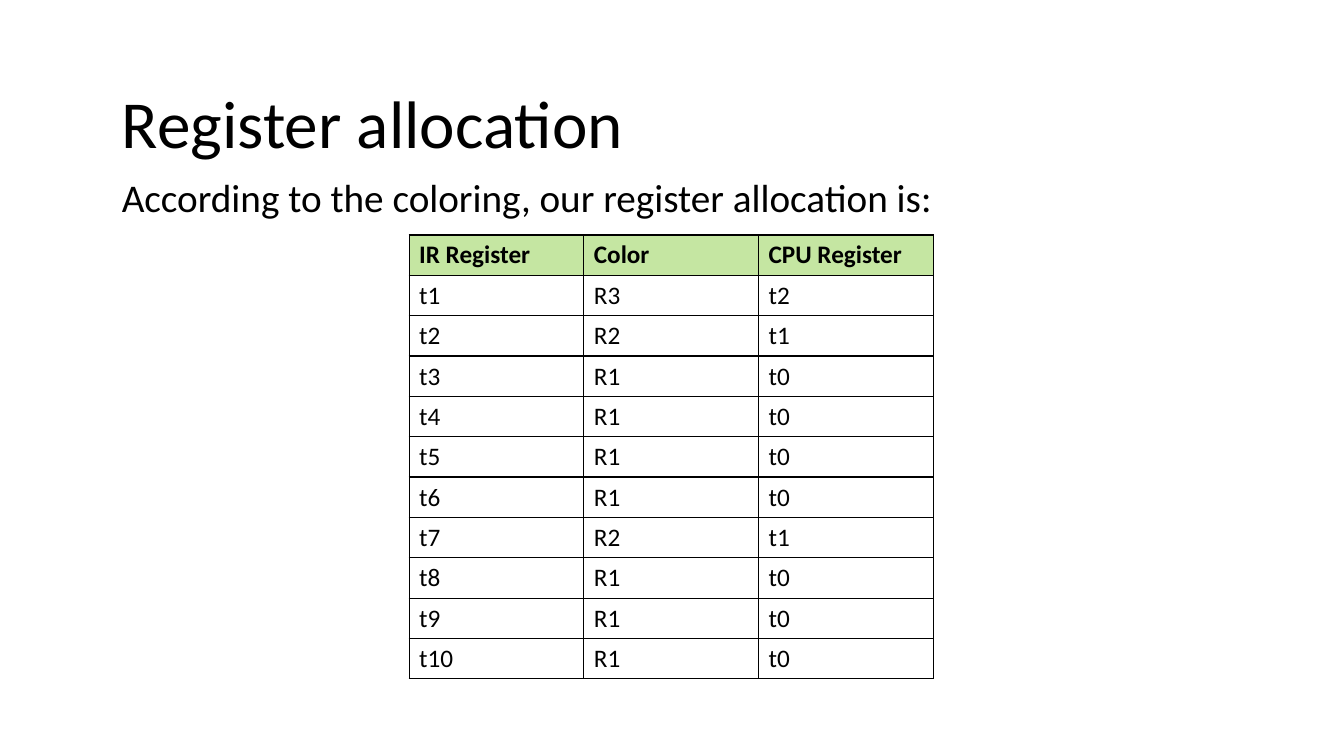
import dataclasses

import lxml.etree
import pptx
import pptx.dml.color
import pptx.enum.text
import pptx.oxml.ns
import pptx.util
from pptx.util import Cm


@dataclasses.dataclass(frozen=True)
class Theme:
    font: str = "Calibri"
    ink: str = "000000"
    paper: str = "FFFFFF"
    header: str = "92D050"
    header_opacity: int = 53
    title_size: int = 48
    lead_size: int = 28
    table_size: int = 18
    border_width: int = 1


theme = Theme()


def write(text_frame, text, size, bold=False):
    paragraph = text_frame.paragraphs[0]
    paragraph.alignment = pptx.enum.text.PP_ALIGN.LEFT
    run = paragraph.add_run()
    run.text = text
    run.font.name = theme.font
    run.font.size = pptx.util.Pt(size)
    run.font.bold = bold
    run.font.color.rgb = pptx.dml.color.RGBColor.from_string(theme.ink)


def format_cell(cell, is_header):
    """Draw the four borders, then fill the cell."""
    properties = cell._tc.get_or_add_tcPr()
    qn = pptx.oxml.ns.qn
    for side in ("a:lnL", "a:lnR", "a:lnT", "a:lnB"):
        width = str(pptx.util.Pt(theme.border_width))
        border = lxml.etree.SubElement(properties, qn(side), w=width)
        line_fill = lxml.etree.SubElement(border, qn("a:solidFill"))
        lxml.etree.SubElement(line_fill, qn("a:srgbClr"), val=theme.ink)
    cell.fill.solid()
    color = theme.header if is_header else theme.paper
    cell.fill.fore_color.rgb = pptx.dml.color.RGBColor.from_string(color)
    if is_header:
        fill_color = properties.find(qn("a:solidFill")).find(qn("a:srgbClr"))
        opacity = str(theme.header_opacity * 1000)
        lxml.etree.SubElement(fill_color, qn("a:alpha"), val=opacity)


presentation = pptx.Presentation()
presentation.slide_width = Cm(33.87)
presentation.slide_height = Cm(19.05)
slide = presentation.slides.add_slide(presentation.slide_layouts[5])

# Title and lead sentence
title = slide.shapes.title
title.left, title.top, title.width, title.height = Cm(2.82), Cm(1.93), Cm(28.17), Cm(2.31)
lead = slide.shapes.add_textbox(Cm(2.82), Cm(4.24), Cm(28.63), Cm(1.45))
for shape, text, size in (
    (title, "Register allocation", theme.title_size),
    (lead, "According to the coloring, our register allocation is:", theme.lead_size),
):
    text_frame = shape.text_frame
    text_frame.word_wrap = True
    text_frame.auto_size = pptx.enum.text.MSO_AUTO_SIZE.SHAPE_TO_FIT_TEXT
    text_frame.vertical_anchor = pptx.enum.text.MSO_ANCHOR.TOP
    write(text_frame, text, size)

# Allocation table: color Rn is held in CPU register t(n-1)
colors = [3, 2, 1, 1, 1, 1, 2, 1, 1, 1]
rows = [("IR Register", "Color", "CPU Register")]
for number, color in enumerate(colors, start=1):
    rows.append((f"t{number}", f"R{color}", f"t{color - 1}"))

row_height = Cm(0.99)
table = slide.shapes.add_table(
    len(rows), len(rows[0]), Cm(10.31), Cm(5.92), Cm(13.21), row_height * len(rows)
).table
table.horz_banding = False
for table_row in table.rows:
    table_row.height = row_height
for row_index, row in enumerate(rows):
    for column_index, text in enumerate(row):
        cell = table.cell(row_index, column_index)
        is_header = row_index == 0
        write(cell.text_frame, text, theme.table_size, bold=is_header)
        format_cell(cell, is_header)

presentation.save("out.pptx")
